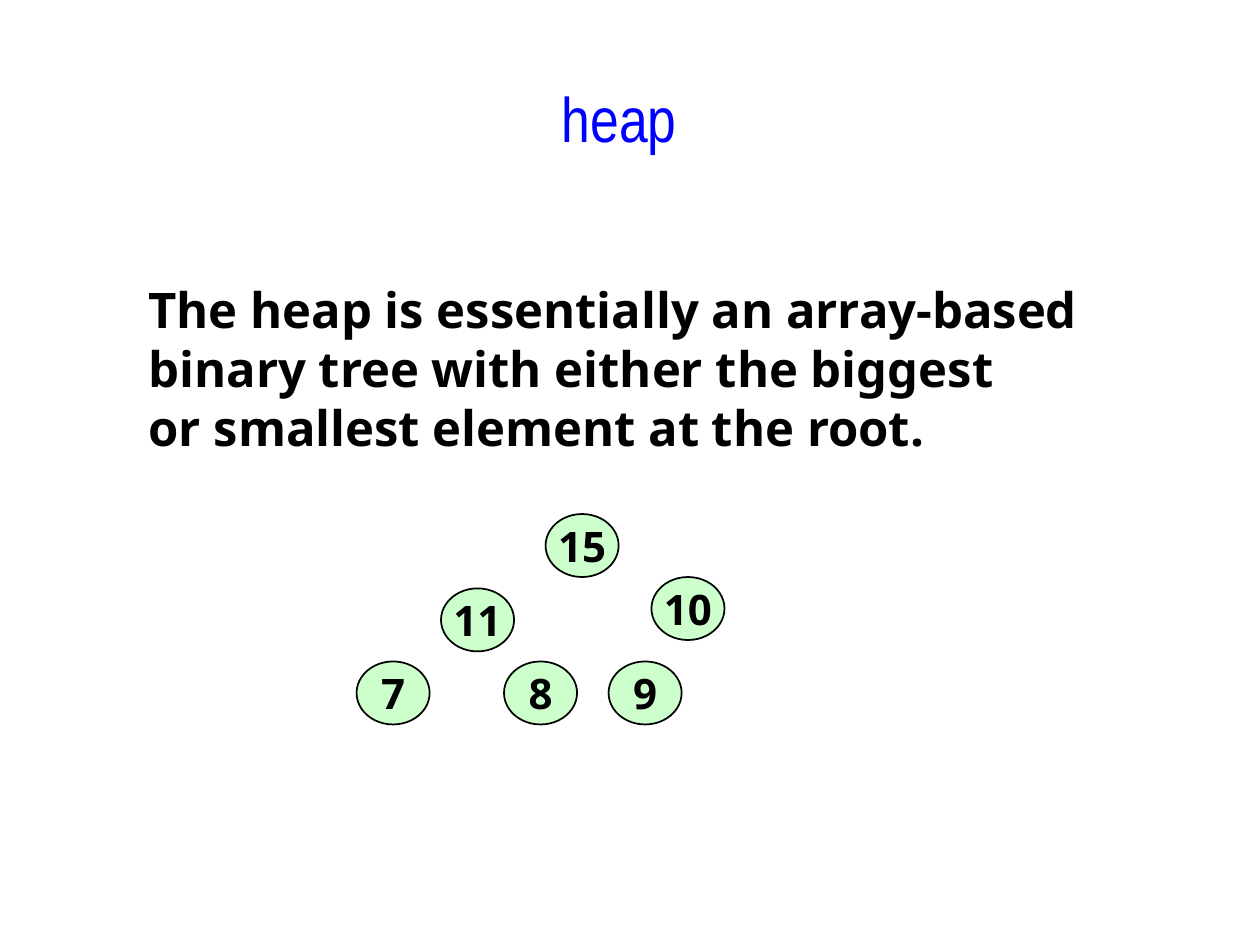
"""Build the heap definition slide with its example tree."""
from dataclasses import dataclass

from pptx import Presentation
from pptx.dml.color import RGBColor
from pptx.enum.shapes import MSO_SHAPE as Preset
from pptx.enum.text import MSO_ANCHOR as Anchor, MSO_AUTO_SIZE as AutoSize, PP_ALIGN as Align
from pptx.text.text import TextFrame
from pptx.util import Inches, Pt

BLACK = RGBColor(0x00, 0x00, 0x00)
BLUE = RGBColor(0x00, 0x00, 0xFF)
PALE_GREEN = RGBColor(0xCC, 0xFF, 0xCC)

NODE_WIDTH, NODE_HEIGHT = Inches(0.58), Inches(0.5)
TITLE_FORMAT = {"name": "Arial Narrow", "size": Pt(36), "bold": False}
BODY_FORMAT = {"name": "Noto Sans", "size": Pt(28), "bold": True}
NODE_FORMAT = {**BODY_FORMAT, "size": Pt(24)}


@dataclass(frozen=True)
class Node:
    """A heap value and its top-left corner in inches."""
    value: int
    left: float
    top: float


HEAP = [
    Node(15, 4.33, 4.08),
    Node(11, 3.5, 4.67),
    Node(7, 2.83, 5.25),
    Node(8, 4, 5.25),
    Node(10, 5.17, 4.58),
    Node(9, 4.83, 5.25),
]


def write(frame: TextFrame, lines: list[str], font_format: dict,
          color: RGBColor, align: Align, anchor: Anchor) -> None:
    """Fill a frame with one formatted paragraph per line."""
    frame.word_wrap = False
    frame.vertical_anchor = anchor
    frame.text = "\n".join(lines)
    for paragraph in frame.paragraphs:
        paragraph.alignment = align
        font = paragraph.runs[0].font
        for attribute, setting in font_format.items():
            setattr(font, attribute, setting)
        font.color.rgb = color


def draw_node(shapes, node: Node) -> None:
    """Draw one heap node as a labelled ellipse."""
    ellipse = shapes.add_shape(Preset.OVAL, Inches(node.left), Inches(node.top),
                               NODE_WIDTH, NODE_HEIGHT)
    ellipse.shadow.inherit = False
    ellipse.fill.solid()
    ellipse.fill.fore_color.rgb = PALE_GREEN
    ellipse.line.color.rgb = BLACK
    ellipse.line.width = Pt(1)
    write(ellipse.text_frame, [str(node.value)], NODE_FORMAT, BLACK,
          Align.CENTER, Anchor.MIDDLE)


deck = Presentation()
deck.slide_width, deck.slide_height = Inches(10), Inches(7.5)
shapes = deck.slides.add_slide(deck.slide_layouts[6]).shapes

definition = shapes.add_textbox(Inches(1.08), Inches(2.17), Inches(7.68), Inches(1.5))
write(definition.text_frame, [
    "The heap is essentially an array-based",
    "binary tree with either the biggest",
    "or smallest element at the root.",
], BODY_FORMAT, BLACK, Align.LEFT, Anchor.TOP)
definition.text_frame.auto_size = AutoSize.SHAPE_TO_FIT_TEXT

title = shapes.add_textbox(Inches(1.5), Inches(0.58), Inches(6.83), Inches(0.92))
write(title.text_frame, ["heap"], TITLE_FORMAT, BLUE, Align.CENTER, Anchor.TOP)

for node in HEAP:
    draw_node(shapes, node)

deck.save("out.pptx")
